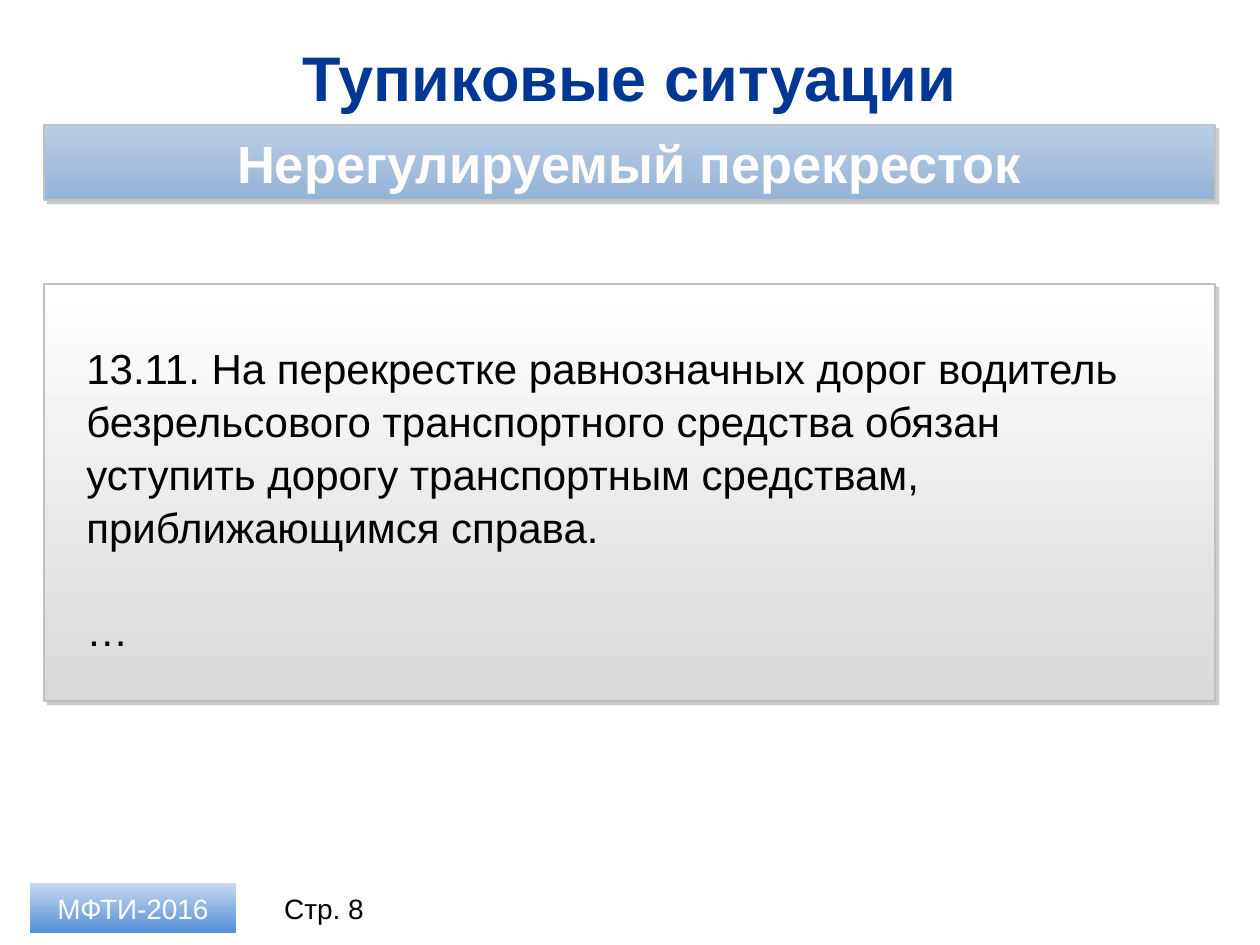
from lxml import etree
from pptx import Presentation
from pptx import util as u
from pptx.dml.color import RGBColor
from pptx.enum import shapes, text
from pptx.oxml.ns import qn

NAVY = RGBColor(0x00, 0x37, 0x94)
BLACK = RGBColor(0x00, 0x00, 0x00)
WHITE = RGBColor(0xFF, 0xFF, 0xFF)
BORDER = RGBColor(0xC0, 0xC0, 0xC0)
PANEL_GREY = RGBColor(0xD9, 0xD9, 0xD9)
BANNER_TOP = RGBColor(0xB9, 0xCD, 0xE5)
BANNER_BOTTOM = RGBColor(0x95, 0xB3, 0xD7)
BADGE_TOP = RGBColor(0xC6, 0xD9, 0xF1)
BADGE_BOTTOM = RGBColor(0x55, 0x8E, 0xD5)
SHADOW = "808080"

TITLE = "Тупиковые ситуации"
BANNER = "Нерегулируемый перекресток"
RULE = [
    "13.11. На перекрестке равнозначных дорог водитель безрельсового "
    "транспортного средства обязан уступить дорогу транспортным средствам, "
    "приближающимся справа.",
    "…",
]
BADGE = "МФТИ-2016"
PAGE = "Стр. 8"

PX = u.Inches(1) // 126
LEFT, WIDTH = 44, 1171
FOOTER_TOP, FOOTER_HEIGHT = 883, 50


def place(shape, *box):
    shape.left, shape.top, shape.width, shape.height = (n * PX for n in box)


def write(shape, lines, size, color, bold=False, align=text.PP_ALIGN.CENTER,
          anchor=text.MSO_ANCHOR.MIDDLE):
    frame = shape.text_frame
    frame.word_wrap = True
    frame.auto_size = text.MSO_AUTO_SIZE.NONE
    frame.vertical_anchor = anchor
    for index, line in enumerate(lines):
        paragraph = frame.add_paragraph() if index else frame.paragraphs[0]
        paragraph.alignment = align
        run = paragraph.add_run()
        run.text = line
        font = run.font
        font.name, font.size, font.bold = "Arial", u.Pt(size), bold
        font.color.rgb = color
    return frame


def add_text(slide, *box):
    shape = slide.shapes.add_textbox(0, 0, 0, 0)
    place(shape, *box)
    return shape


def add_panel(slide, box, top_color, bottom_color, framed=True):
    shape = slide.shapes.add_shape(shapes.MSO_SHAPE.RECTANGLE, 0, 0, 0, 0)
    place(shape, *box)
    shape.fill.gradient()
    shape.fill.gradient_angle = 270
    for stop, color, position in zip(shape.fill.gradient_stops,
                                     (top_color, bottom_color), (0, 1)):
        stop.color.rgb, stop.position = color, position
    shape.shadow.inherit = False
    if framed:
        shape.line.color.rgb = BORDER
        shape.line.width = u.Pt(1)
        effects = shape._element.spPr.find(qn("a:effectLst"))
        outer = etree.SubElement(effects, qn("a:outerShdw"), blurRad="0",
                                 dist=str(u.Pt(3)), dir="2700000",
                                 algn="tl", rotWithShape="0")
        color = etree.SubElement(outer, qn("a:srgbClr"), val=SHADOW)
        etree.SubElement(color, qn("a:alpha"), val="40000")
    else:
        shape.line.fill.background()
    return shape


def main():
    presentation = Presentation()
    presentation.slide_width, presentation.slide_height = u.Inches(10), u.Inches(7.5)
    slide = presentation.slides.add_slide(presentation.slide_layouts[5])

    title = slide.shapes.title
    place(title, LEFT, 33, WIDTH, 86)
    write(title, [TITLE], 36, NAVY, bold=True)

    page = add_text(slide, 256, FOOTER_TOP, 136, FOOTER_HEIGHT)
    write(page, [PAGE], 16, BLACK)

    badge = add_panel(slide, (30, FOOTER_TOP, 206, FOOTER_HEIGHT),
                      BADGE_TOP, BADGE_BOTTOM, framed=False)
    write(badge, [BADGE], 16, WHITE)

    add_panel(slide, (LEFT, 284, WIDTH, 417), WHITE, PANEL_GREY)

    banner = add_panel(slide, (LEFT, 125, WIDTH, 75), BANNER_TOP, BANNER_BOTTOM)
    write(banner, [BANNER], 30, WHITE, bold=True)

    rule = add_text(slide, 74, 334, 1101, 318)
    frame = write(rule, RULE, 24, BLACK, align=text.PP_ALIGN.LEFT,
                  anchor=text.MSO_ANCHOR.TOP)
    for paragraph in frame.paragraphs:
        paragraph.line_spacing = 1.05
    frame.paragraphs[-1].space_before = u.Pt(29)

    presentation.save("out.pptx")


if __name__ == "__main__":
    main()
